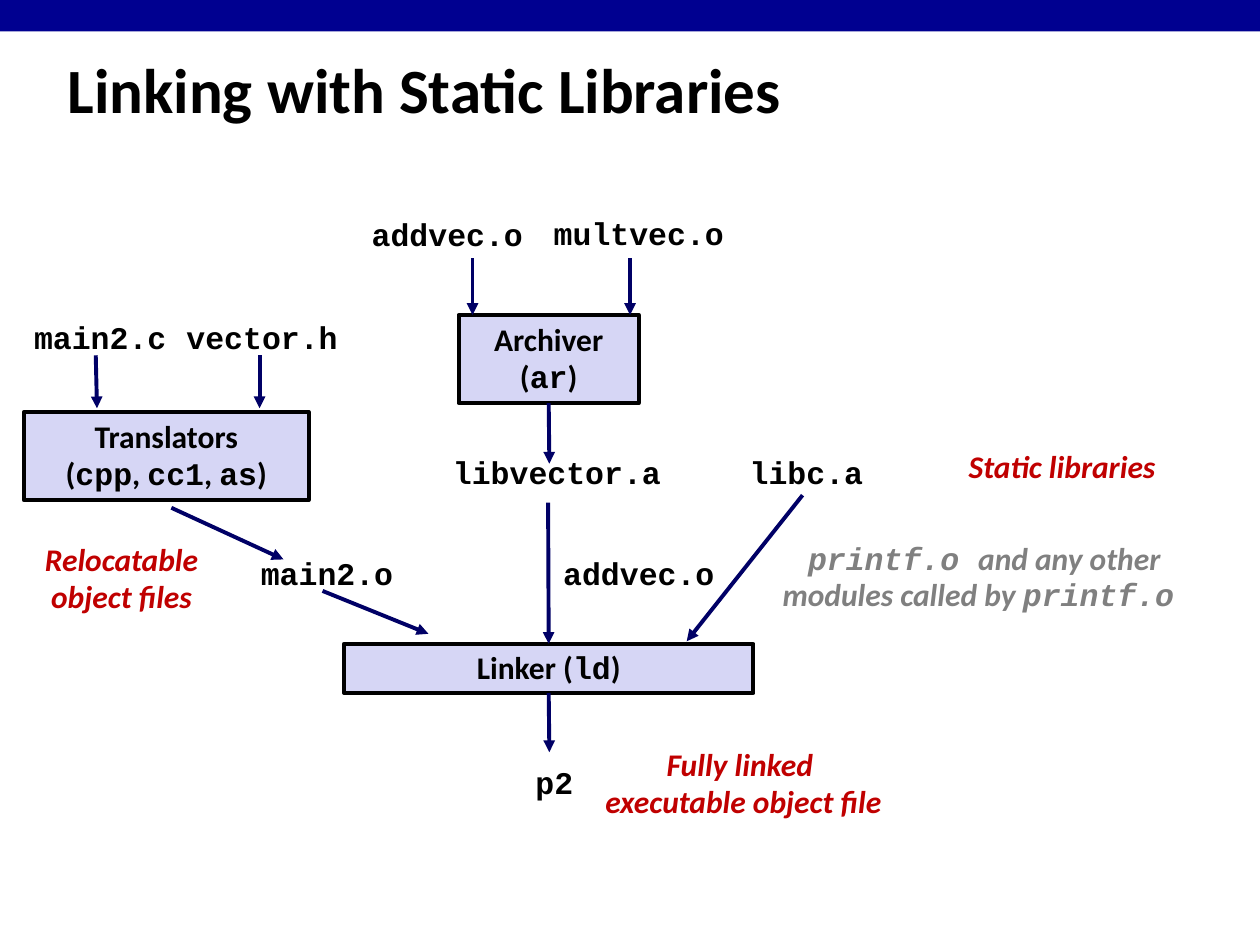
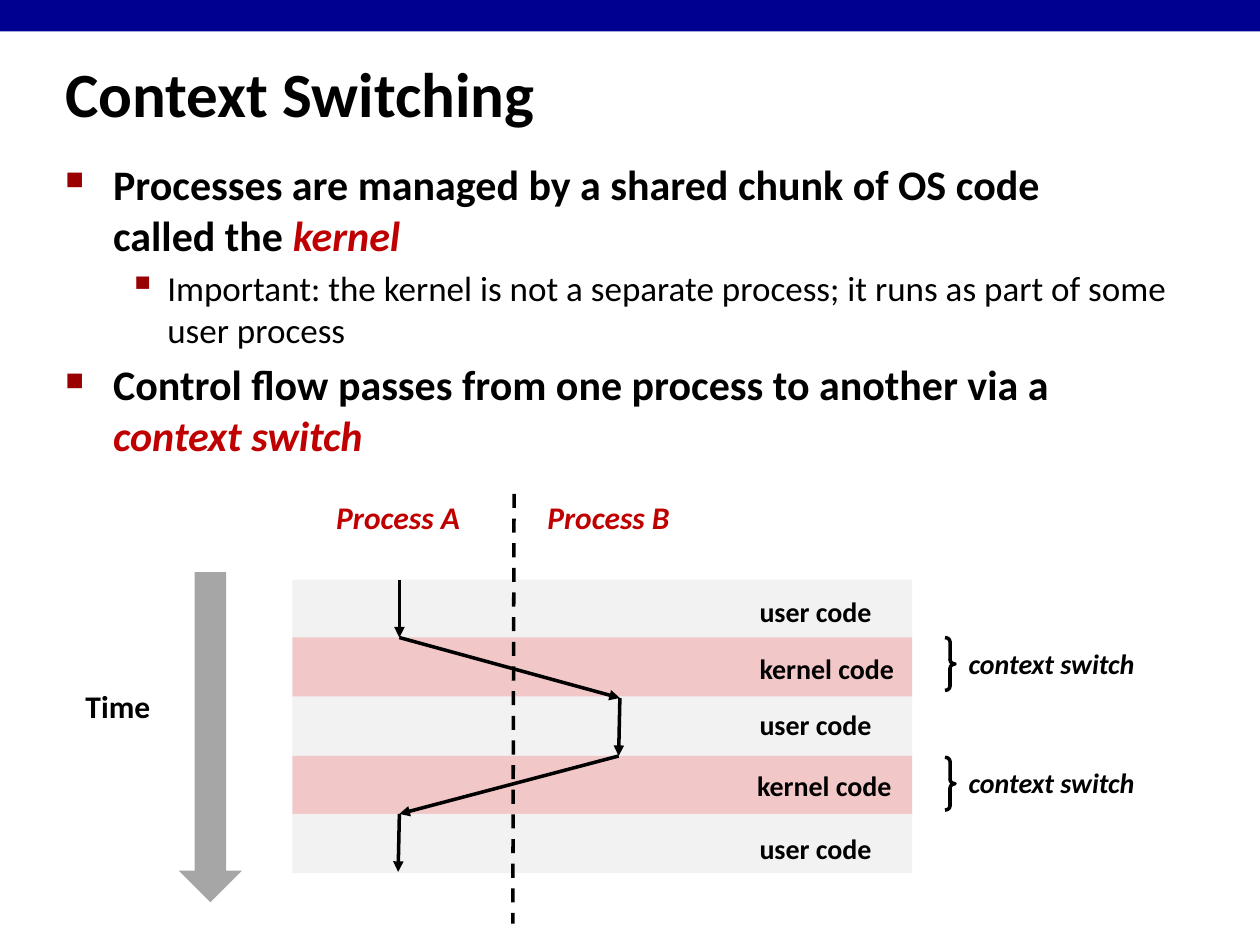
from dataclasses import dataclass
from itertools import pairwise

from lxml import etree
from pptx import Presentation
from pptx.dml.color import RGBColor
from pptx.enum.dml import MSO_LINE
from pptx.enum.shapes import MSO_CONNECTOR, MSO_SHAPE
from pptx.enum.text import MSO_ANCHOR, MSO_AUTO_SIZE, PP_ALIGN
from pptx.oxml.ns import qn
from pptx.util import Pt

EMU_PER_PX = 9144
SLIDE_WIDTH, SLIDE_HEIGHT = 1000, 750
BLANK_LAYOUT = 6
TOP_SIDE, BOTTOM_SIDE = 0, 2
STRAIGHT = MSO_CONNECTOR.STRAIGHT
RECTANGLE, DOWN_ARROW = MSO_SHAPE.RECTANGLE, MSO_SHAPE.DOWN_ARROW
RIGHT_BRACE = MSO_SHAPE.RIGHT_BRACE
LEFT, CENTER = PP_ALIGN.LEFT, PP_ALIGN.CENTER
TOP, MIDDLE = MSO_ANCHOR.TOP, MSO_ANCHOR.MIDDLE
FIT_SHAPE, FIT_NONE = MSO_AUTO_SIZE.SHAPE_TO_FIT_TEXT, MSO_AUTO_SIZE.NONE
DASH = MSO_LINE.DASH
LINE_BREAK = "\v"


@dataclass(frozen=True)
class TextStyle:
    size: int
    color: str = "000000"
    font: str = "Calibri"
    bold: bool = True
    italic: bool = False
    line_spacing: float = 1.0


@dataclass(frozen=True)
class Bullet:
    character: str
    percent: int
    margin: int
    hanging: int
    space_before: float


@dataclass(frozen=True)
class Theme:
    band: str = "000090"
    black: str = "000000"
    box: str = "D6D6F5"
    arrow: str = "000066"
    user: str = "F2F2F2"
    kernel: str = "F1C7C7"
    time: str = "A6A6A6"
    bullet: str = "990000"
    box_line: float = 2.25
    trace_line: float = 2
    title: TextStyle = TextStyle(36)
    heading: TextStyle = TextStyle(24)
    heading_term: TextStyle = TextStyle(24, "C00000", italic=True)
    detail: TextStyle = TextStyle(20, bold=False)
    label: TextStyle = TextStyle(18, line_spacing=0.98)
    code: TextStyle = TextStyle(18, font="Courier New", line_spacing=0.94)
    remark: TextStyle = TextStyle(18, "C00000", italic=True, line_spacing=0.98)
    faded: TextStyle = TextStyle(18, "808080", italic=True, line_spacing=0.98)
    faded_code: TextStyle = TextStyle(18, "808080", "Courier New", italic=True, line_spacing=0.94)
    small: TextStyle = TextStyle(16)
    small_italic: TextStyle = TextStyle(16, italic=True)
    bullets: tuple = (Bullet("■", 60, 38, 38, 4.8), Bullet("▪", 110, 81, 31, 4))


def emu(*lengths):
    return [length * EMU_PER_PX for length in lengths]


class Deck:
    def __init__(self, theme):
        self.theme = theme
        self.presentation = Presentation()
        self.presentation.slide_width, self.presentation.slide_height = emu(SLIDE_WIDTH, SLIDE_HEIGHT)
        self.slide = None

    def start_slide(self, title, area):
        layout = self.presentation.slide_layouts[BLANK_LAYOUT]
        self.slide = self.presentation.slides.add_slide(layout)
        self.shape(RECTANGLE, (0, 0, SLIDE_WIDTH, 25), self.theme.band)
        self.text(area, title, self.theme.title, wrap=True, anchor=MIDDLE)

    def shape(self, kind, area, fill=None, line_width=None):
        shape = self.slide.shapes.add_shape(kind, *emu(*area))
        shape.shadow.inherit = False
        if fill:
            shape.fill.solid()
            shape.fill.fore_color.rgb = RGBColor.from_string(fill)
        else:
            shape.fill.background()
        if line_width:
            shape.line.color.rgb = RGBColor.from_string(self.theme.black)
            shape.line.width = Pt(line_width)
        else:
            shape.line.fill.background()
        return shape

    def box(self, area, lines):
        shape = self.shape(RECTANGLE, area, self.theme.box, self.theme.box_line)
        shape.text_frame.word_wrap = True
        self.fill_text(shape.text_frame, lines, self.theme.label, CENTER)
        return shape

    def text(self, area, content, style, align=LEFT, wrap=False, anchor=TOP):
        frame = self.slide.shapes.add_textbox(*emu(*area)).text_frame
        frame.word_wrap = wrap
        frame.auto_size = FIT_NONE if wrap else FIT_SHAPE
        frame.vertical_anchor = anchor
        lines = [content] if isinstance(content, str) else content
        self.fill_text(frame, lines, style, align)
        return frame

    def fill_text(self, frame, lines, style, align):
        for index, line in enumerate(lines):
            paragraph = frame.paragraphs[0] if index == 0 else frame.add_paragraph()
            pieces = [(line, style)] if isinstance(line, str) else line
            paragraph.alignment = align
            paragraph.line_spacing = pieces[0][1].line_spacing
            for words, piece_style in pieces:
                if words == LINE_BREAK:
                    paragraph.add_line_break()
                else:
                    self.add_run(paragraph, words, piece_style)

    def add_run(self, paragraph, words, style):
        run = paragraph.add_run()
        run.text = words
        font = run.font
        font.name, font.size = style.font, Pt(style.size)
        font.bold, font.italic = style.bold, style.italic
        font.color.rgb = RGBColor.from_string(style.color)

    def bullet_list(self, area, items):
        lines = [pieces for level, pieces in items]
        frame = self.text(area, lines, self.theme.heading, wrap=True)
        for index, (paragraph, (level, pieces)) in enumerate(zip(frame.paragraphs, items)):
            bullet = self.theme.bullets[level]
            paragraph.level = level
            if index:
                paragraph.space_before = Pt(bullet.space_before)
            properties = paragraph._p.get_or_add_pPr()
            margin, hanging = emu(bullet.margin, bullet.hanging)
            properties.set("marL", str(margin))
            properties.set("indent", str(-hanging))
            color = etree.SubElement(properties, qn("a:buClr"))
            etree.SubElement(color, qn("a:srgbClr"), val=self.theme.bullet)
            etree.SubElement(properties, qn("a:buSzPct"), val=str(bullet.percent * 1000))
            etree.SubElement(properties, qn("a:buChar"), char=bullet.character)

    def line(self, start, end, color, width, dashed=False, begin_box=None, end_box=None):
        connector = self.slide.shapes.add_connector(STRAIGHT, *emu(*start, *end))
        if begin_box:
            connector.begin_connect(begin_box, BOTTOM_SIDE)
        if end_box:
            connector.end_connect(end_box, TOP_SIDE)
        connector.line.color.rgb = RGBColor.from_string(color)
        connector.line.width = Pt(width)
        properties = connector._element.spPr
        if dashed:
            connector.line.dash_style = DASH
        else:
            etree.SubElement(properties.get_or_add_ln(), qn("a:tailEnd"), type="triangle")
        etree.SubElement(properties, qn("a:effectLst"))


def build_linking(deck):
    theme = deck.theme
    label, code = theme.label, theme.code
    deck.start_slide("Linking with Static Libraries", (44, 27, 953, 86))

    deck.box((19, 327, 226, 70), [
        "Translators",
        [("(", label), ("cpp", code), (", ", label), ("cc1", code),
         (", ", label), ("as", code), (")", label)],
    ])
    archiver = deck.box((364, 250, 143, 70), [
        "Archiver",
        [("(", label), ("ar", code), (")", label)],
    ])
    linker = deck.box((273, 511, 325, 39), [
        [("Linker (", label), ("ld", code), (")", label)],
    ])

    for name, left, top, width in (
        ("main2.c", 17, 250, 125),
        ("vector.h", 138, 250, 140),
        ("addvec.o", 285, 168, 140),
        ("multvec.o", 429, 167, 156),
        ("libvector.a", 349, 357, 186),
        ("libc.a", 585, 357, 110),
        ("main2.o", 197, 437, 125),
        ("addvec.o", 437, 437, 140),
        ("p2", 415, 603, 50),
    ):
        deck.text((left, top, width, 39), name, code, CENTER)

    for area, lines in (
        ((758, 351, 170, 40), ["Static libraries"]),
        ((25, 425, 143, 70), ["Relocatable", "object files"]),
        ((469, 588, 242, 70), ["Fully linked ", "executable object file"]),
    ):
        deck.text(area, lines, theme.remark, CENTER)
    deck.text((610, 425, 348, 69), [
        [("printf.o ", theme.faded_code), ("and any other ", theme.faded)],
        [("modules called by ", theme.faded), ("printf.o ", theme.faded_code)],
    ], theme.faded, CENTER)

    for start, end, begin_box, end_box in (
        ((76, 282), (77, 324), None, None),
        ((206, 282), (206, 324), None, None),
        ((375, 205), (375, 250), None, None),
        ((500, 205), (500, 250), None, None),
        ((136, 403), (225, 444), None, None),
        ((256, 469), (340, 503), None, None),
        ((637, 393), (545, 509), None, None),
        ((435, 320), (436, 368), archiver, None),
        ((435, 399), (436, 511), None, linker),
        ((435, 550), (436, 597), linker, None),
    ):
        deck.line(start, end, theme.arrow, theme.box_line, begin_box=begin_box, end_box=end_box)


def build_context_switching(deck):
    theme = deck.theme
    heading, term = theme.heading, theme.heading_term
    deck.start_slide("Context Switching", (42, 42, 639, 63))

    deck.bullet_list((42, 121, 907, 279), [
        (0, [("Processes are managed by a shared chunk of OS code", heading),
             (LINE_BREAK, heading), ("called the ", heading), ("kernel", term)]),
        (1, [("Important: the kernel is not a separate process; "
              "it runs as part of some user process", theme.detail)]),
        (0, [("Control flow passes from one process to another via a ", heading),
             ("context switch", term)]),
    ])

    code_labels = ((593, 467), (593, 512), (593, 557), (591, 605), (593, 655))
    for index, (left, top) in enumerate(code_labels):
        in_kernel = index % 2 == 1
        band_top = 460 + round(index * 46.5)
        deck.shape(RECTANGLE, (232, band_top, 492, 47), theme.kernel if in_kernel else theme.user)
        name, width = ("kernel code", 128) if in_kernel else ("user code", 110)
        deck.text((left, top, width, 37), name, theme.small)

    for name, left in (("Process A", 256), ("Process B", 423)):
        deck.text((left, 392, 120, 40), name, theme.remark, CENTER)
    deck.line((408, 392), (407, 733), theme.black, theme.trace_line, dashed=True)

    trace = ((317, 460), (317, 506), (492, 554), (491, 600), (317, 646), (316, 692))
    for start, end in pairwise(trace):
        deck.line(start, end, theme.black, theme.trace_line)

    for top in (506, 601):
        brace = deck.shape(RIGHT_BRACE, (750, top, 8, 42), line_width=theme.trace_line)
        brace.adjustments[0] = 0.42
        deck.text((759, top + 2, 154, 37), "context switch", theme.small_italic)

    deck.text((58, 542, 89, 50), "Time", theme.label)
    deck.shape(DOWN_ARROW, (142, 454, 50, 262), theme.time)


def main():
    deck = Deck(Theme())
    build_linking(deck)
    build_context_switching(deck)
    deck.presentation.save("out.pptx")


if __name__ == "__main__":
    main()
